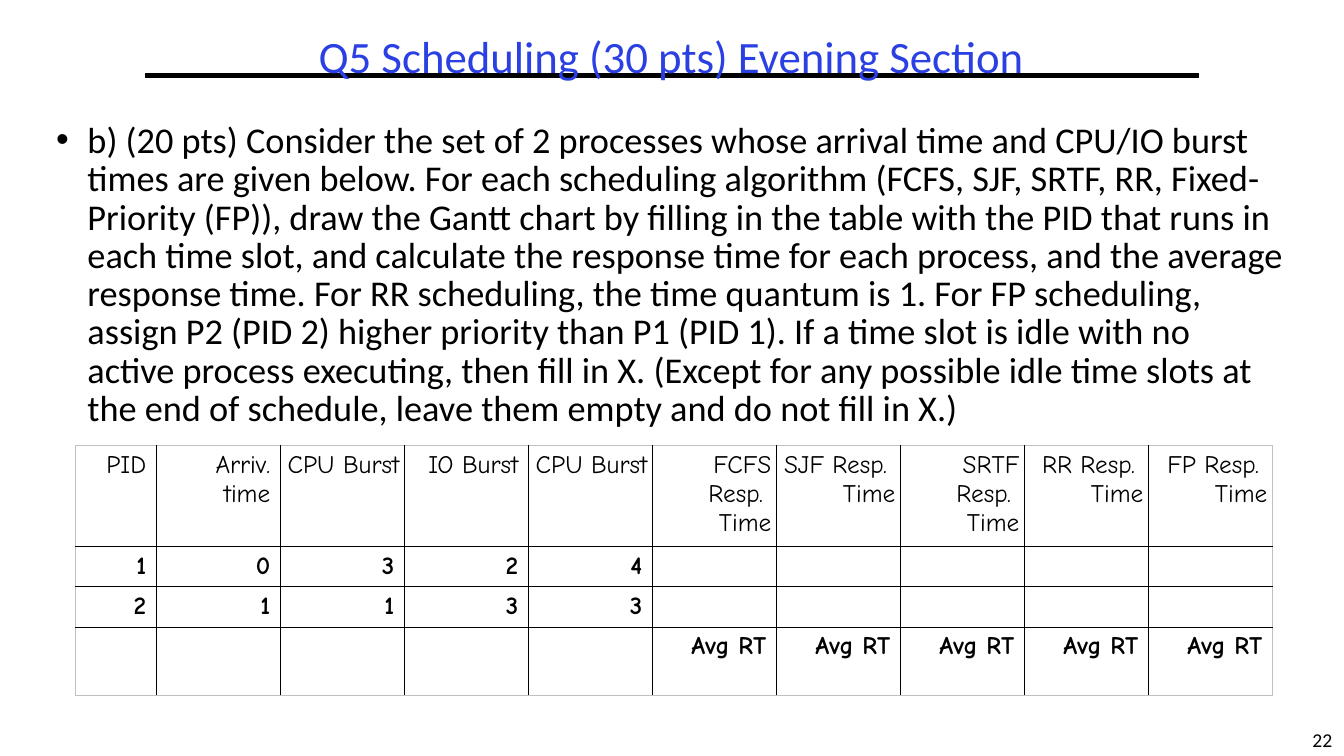
"""Build the Q5 scheduling exam slide with its process table."""
from dataclasses import dataclass

from lxml import etree
from pptx import Presentation
from pptx import util as u
from pptx.dml import color
from pptx.enum import shapes, text
from pptx.oxml import ns

BLACK, BLUE, GREY = "000000", "2A40E2", "C0C0C0"
QUESTION = (
    "b) (20 pts) Consider the set of 2 processes whose arrival time and CPU/IO burst times "
    "are given below. For each scheduling algorithm (FCFS, SJF, SRTF, RR, Fixed-Priority (FP)), "
    "draw the Gantt chart by filling in the table with the PID that runs in each time slot, "
    "and calculate the response time for each process, and the average response time. "
    "For RR scheduling, the time quantum is 1. For FP scheduling, assign P2 (PID 2) higher "
    "priority than P1 (PID 1). If a time slot is idle with no active process executing, "
    "then fill in X. (Except for any possible idle time slots at the end of schedule, "
    "leave them empty and do not fill in X.)"
)
ALGORITHMS = ["FCFS", "SJF", "SRTF", "RR", "FP"]
HEADER = ["PID", "Arriv. time", "CPU Burst", "IO Burst", "CPU Burst"]
HEADER += [f"{name} Resp.  Time" for name in ALGORITHMS]
BLANKS = [""] * len(ALGORITHMS)
ROWS = [
    HEADER,
    ["1", "0", "3", "2", "4"] + BLANKS,
    ["2", "1", "1", "3", "3"] + BLANKS,
    [""] * 5 + ["Avg RT"] * len(ALGORITHMS),
]
ROW_HEIGHTS = [0.97, 0.39, 0.39, 0.68]
COL_WIDTHS = [0.8] + [1.23] * 9
NARROW_INSET = {2, 4, 5, 6, 7, 8, 9}


@dataclass
class TextItem:
    content: str
    box: tuple[float, float, float, float]
    size: float
    colour: str = BLACK
    align: text.PP_ALIGN = text.PP_ALIGN.CENTER
    spacing: float = 1.0
    wrap: bool = True
    bullet: bool = False


ITEMS = [
    TextItem("22", (12.9, 7.17, 0.43, 0.33), 14, wrap=False),
    TextItem("Q5 Scheduling (30 pts) Evening Section", (0.46, 0.3, 12.4, 0.58), 32, BLUE,
             spacing=0.9),
    TextItem(QUESTION, (0.46, 1.17, 12.4, 3.24), 25.9, align=text.PP_ALIGN.LEFT,
             spacing=0.88, bullet=True),
]


def rgb(value: str) -> color.RGBColor:
    """Turn a hex string into a colour."""
    return color.RGBColor.from_string(value)


def set_attrs(target: object, values: dict) -> None:
    """Set each named format value on the target."""
    for name, value in values.items():
        setattr(target, name, value)


def add_run(p, content: str, size: float, face: str, colour: str, bold: bool = False) -> None:
    """Add one formatted run to a paragraph."""
    r = p.add_run()
    r.text = content
    set_attrs(r.font, {"size": u.Pt(size), "name": face, "bold": bold})
    r.font.color.rgb = rgb(colour)


def add_text(s, item: TextItem) -> None:
    """Draw a text item in its own box."""
    sp = s.shapes.add_textbox(*map(u.Inches, item.box))
    tf = sp.text_frame
    set_attrs(tf, {"word_wrap": item.wrap, "vertical_anchor": text.MSO_ANCHOR.TOP})
    p = tf.paragraphs[0]
    set_attrs(p, {"alignment": item.align, "line_spacing": item.spacing})
    if item.bullet:
        pPr = p._p.get_or_add_pPr()
        pPr.set("marL", str(u.Inches(0.31)))
        pPr.set("indent", str(u.Inches(-0.31)))
        etree.SubElement(pPr, ns.qn("a:buFont"), typeface="Arial")
        etree.SubElement(pPr, ns.qn("a:buChar"), char="•")
    add_run(p, item.content, item.size, "Calibri", item.colour)


def add_rule(s) -> None:
    """Draw the heavy rule at the title."""
    ends = map(u.Inches, (1.44, 0.75, 11.89, 0.75))
    sp = s.shapes.add_connector(shapes.MSO_CONNECTOR.STRAIGHT, *ends)
    sp.line.color.rgb = rgb(BLACK)
    sp.line.width = u.Pt(3)
    etree.SubElement(sp._element.spPr, ns.qn("a:effectLst"))


def add_borders(cell, outer: dict[str, bool]) -> None:
    """Give a cell black inner and grey outer borders."""
    tcPr = cell._tc.get_or_add_tcPr()
    for side, is_outer in outer.items():
        width = u.Pt(0.5 if is_outer else 1)
        ln = etree.SubElement(tcPr, ns.qn(f"a:ln{side}"), w=str(width))
        fill = etree.SubElement(ln, ns.qn("a:solidFill"))
        etree.SubElement(fill, ns.qn("a:srgbClr"), val=GREY if is_outer else BLACK)


def add_process_table(s) -> None:
    """Draw the table of processes and response times."""
    box = (0.75, 4.42, sum(COL_WIDTHS), sum(ROW_HEIGHTS))
    table = s.shapes.add_table(len(ROWS), len(HEADER), *map(u.Inches, box)).table
    set_attrs(table, {"first_row": False, "horz_banding": False})
    for column, width in zip(table.columns, COL_WIDTHS):
        column.width = u.Inches(width)
    for i, (row, height) in enumerate(zip(ROWS, ROW_HEIGHTS)):
        table.rows[i].height = u.Inches(height)
        for j, content in enumerate(row):
            cell = table.cell(i, j)
            inset = u.Inches(0.05 if i == 0 and j in NARROW_INSET else 0.1)
            set_attrs(cell, {"margin_left": inset, "margin_right": inset})
            add_borders(cell, {"L": j == 0, "R": j == len(HEADER) - 1,
                               "T": i == 0, "B": i == len(ROWS) - 1})
            cell.fill.background()
            p = cell.text_frame.paragraphs[0]
            p.alignment = text.PP_ALIGN.RIGHT
            if content:
                add_run(p, content, 18, "Comic Neue", BLACK, bold=i > 0)
            else:
                etree.SubElement(p._p, ns.qn("a:endParaRPr"), sz="1200")


def main() -> None:
    """Build and save the slide."""
    prs = Presentation()
    set_attrs(prs, {"slide_width": u.Inches(13.33), "slide_height": u.Inches(7.5)})
    s = prs.slides.add_slide(prs.slide_layouts[6])
    add_rule(s)
    for item in ITEMS:
        add_text(s, item)
    add_process_table(s)
    prs.save("out.pptx")


if __name__ == "__main__":
    main()
